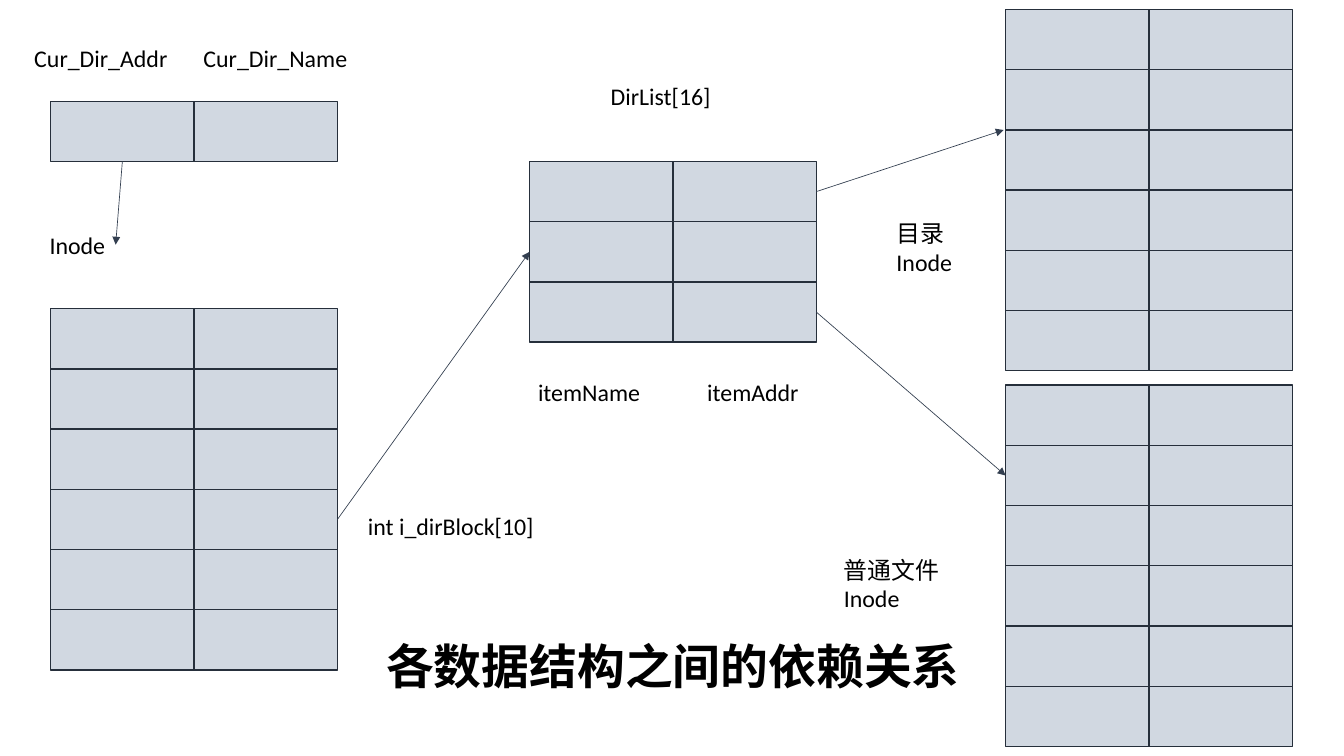
from lxml.etree import SubElement
from pptx import Presentation
from pptx.dml.color import RGBColor
from pptx.enum.shapes import MSO_CONNECTOR, MSO_SHAPE
from pptx.enum.text import MSO_ANCHOR, MSO_AUTO_SIZE, PP_ALIGN
from pptx.oxml.ns import qn
from pptx.util import Inches, Pt

SLIDE_WIDTH, SLIDE_HEIGHT = 14.06, 7.91
CELL_WIDTH, CELL_HEIGHT = 1.5, 0.63
COLUMNS = 2
FONT = "Calibri"
COLORS = {"cell": "D1D8E1", "border": "262F3B", "arrow": "333F50", "text": "000000"}
LEFT, BOTTOM, RIGHT = 1, 2, 3

TITLE = ("各数据结构之间的依赖关系", 3.94, 6.61, 6.26, 0.71)

GRIDS = {
    "directory list": (5.54, 1.69, 3),
    "current directory": (0.53, 1.06, 1),
    "current inode": (0.53, 3.23, 6),
    "directory inode": (10.52, 0.1, 6),
    "file inode": (10.52, 4.03, 6),
}

LABELS = [
    ("DirList[16]", 6.29, 0.81, 1.26),
    ("Cur_Dir_Addr", 0.26, 0.41, 1.61),
    ("Cur_Dir_Name", 2.03, 0.41, 1.72),
    ("Inode", 0.42, 2.36, 0.79),
    ("int i_dirBlock[10]", 3.75, 5.3, 1.95),
    ("itemName", 5.53, 3.9, 1.28),
    ("itemAddr", 7.3, 3.9, 1.17),
    ("目录\vInode", 9.28, 2.24, 1.35),
    ("普通文件\vInode", 8.73, 5.76, 1.8),
]
LABEL_HEIGHT = 0.4

ARROWS = [
    (("current directory", 0, 0, BOTTOM), (1.21, 2.56)),
    (("current inode", 3, 1, RIGHT), ("directory list", 1, 0, LEFT)),
    (("directory list", 0, 1, RIGHT), (10.5, 1.36)),
    (("directory list", 2, 1, RIGHT), ("file inode", 1, 0, LEFT)),
]


def color(name):
    return RGBColor.from_string(COLORS[name])


def add_cell(slide, left, top):
    cell = slide.shapes.add_shape(
        MSO_SHAPE.RECTANGLE, Inches(left), Inches(top), Inches(CELL_WIDTH), Inches(CELL_HEIGHT)
    )
    cell.shadow.inherit = False
    cell.fill.solid()
    cell.fill.fore_color.rgb = color("cell")
    cell.line.color.rgb = color("border")
    cell.line.width = Pt(1)
    return cell


def add_grids(slide):
    return {
        (name, row, column): add_cell(slide, left + column * CELL_WIDTH, top + row * CELL_HEIGHT)
        for name, (left, top, rows) in GRIDS.items()
        for row in range(rows)
        for column in range(COLUMNS)
    }


def write_text(shape, text, size, bold=False):
    frame = shape.text_frame
    frame.text = text
    frame.word_wrap = False
    frame.auto_size = MSO_AUTO_SIZE.SHAPE_TO_FIT_TEXT
    frame.vertical_anchor = MSO_ANCHOR.TOP
    paragraph = frame.paragraphs[0]
    paragraph.alignment = PP_ALIGN.LEFT
    paragraph.font.name = FONT
    paragraph.font.size = Pt(size)
    paragraph.font.bold = bold
    paragraph.font.color.rgb = color("text")


def add_arrow(slide, cells, start, end):
    connector = slide.shapes.add_connector(MSO_CONNECTOR.STRAIGHT, 0, 0, 0, 0)
    *start_cell, start_side = start
    connector.begin_connect(cells[tuple(start_cell)], start_side)
    if len(end) == 2:
        connector.end_x, connector.end_y = map(Inches, end)
    else:
        *end_cell, end_side = end
        connector.end_connect(cells[tuple(end_cell)], end_side)
    connector.line.color.rgb = color("arrow")
    connector.line.width = Pt(0.5)
    SubElement(connector.line._get_or_add_ln(), qn("a:tailEnd"), type="triangle")
    SubElement(connector._element.spPr, qn("a:effectLst"))


def main():
    presentation = Presentation()
    presentation.slide_width = Inches(SLIDE_WIDTH)
    presentation.slide_height = Inches(SLIDE_HEIGHT)
    slide = presentation.slides.add_slide(presentation.slide_layouts[5])

    cells = add_grids(slide)
    for start, end in ARROWS:
        add_arrow(slide, cells, start, end)
    for text, left, top, width in LABELS:
        label = slide.shapes.add_textbox(*map(Inches, (left, top, width, LABEL_HEIGHT)))
        write_text(label, text, 18)

    text, *box = TITLE
    title = slide.shapes.title
    title.left, title.top, title.width, title.height = map(Inches, box)
    write_text(title, text, 36, bold=True)

    presentation.save("out.pptx")


if __name__ == "__main__":
    main()
